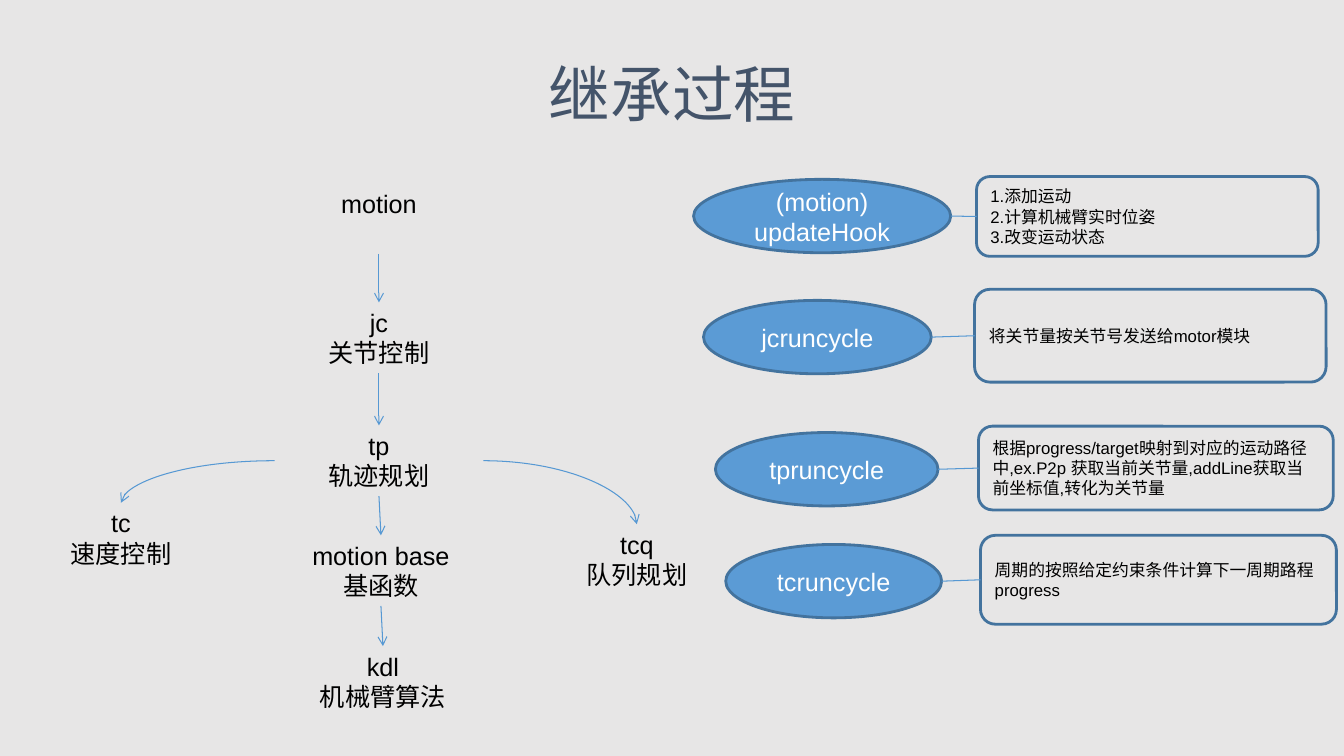
from pptx import Presentation
from pptx.dml.color import RGBColor
from pptx.enum import shapes, text
from pptx.oxml import ns, xmlchemy
from pptx.util import Cm, Pt

PAPER = RGBColor(0xE7, 0xE6, 0xE6)
SLATE = RGBColor(0x44, 0x54, 0x6A)
BLACK = RGBColor(0, 0, 0)
WHITE = RGBColor(0xFF, 0xFF, 0xFF)
BLUE = RGBColor(0x5B, 0x9B, 0xD5)
EDGE = RGBColor(0x43, 0x73, 0x9E)
ARROW = RGBColor(0x56, 0x98, 0xD3)

NODE_H = 1.78
OVAL_H = 1.85

# name: (centre, top, width, lines), in cm
NODES = {
    "motion": (9.55, 4.62, 5.16, ["motion"]),
    "jc": (9.55, 7.62, 4.32, ["jc", "关节控制"]),
    "tp": (9.55, 10.72, 5.26, ["tp", "轨迹规划"]),
    "base": (9.6, 13.49, 4.78, ["motion base", "基函数"]),
    "kdl": (9.65, 16.28, 5.61, ["kdl", "机械臂算法"]),
    "tc": (3.05, 12.67, 4.32, ["tc", "速度控制"]),
    "tcq": (16.05, 13.21, 4.83, ["tcq", "队列规划"]),
}
CHAIN = ["motion", "jc", "tp", "base", "kdl"]

# oval (left, top, width), its label, note (left, top, width, height), its lines
CYCLES = [
    ((17.48, 4.52, 6.48), "(motion) updateHook", (24.61, 4.45, 8.61, 2.01),
     ["1.添加运动", "2.计算机械臂实时位姿", "3.改变运动状态"]),
    ((17.73, 7.57, 5.74), "jcruncycle", (24.56, 7.29, 8.86, 2.34),
     ["将关节量按关节号发送给motor模块"]),
    ((18.03, 10.9, 5.61), "tpruncycle", (24.66, 10.74, 8.94, 2.11),
     ["根据progress/target映射到对应的运动路径中,ex.P2p 获取当前关节量,"
      "addLine获取当前坐标值,转化为关节量"]),
    ((18.29, 13.72, 5.44), "tcruncycle", (24.71, 13.49, 8.97, 2.24),
     ["周期的按照给定约束条件计算下一周期路程", "progress"]),
]


def write(shape, lines, size=18, color=BLACK, align=text.PP_ALIGN.CENTER,
          anchor=text.MSO_ANCHOR.MIDDLE):
    frame = shape.text_frame
    frame.word_wrap = True
    frame.vertical_anchor = anchor
    frame.text = "\n".join(lines)
    for para in frame.paragraphs:
        para.alignment = align
        font = para.runs[0].font
        font.name, font.size = "Arial", Pt(size)
        font.color.rgb = color


def label(slide, box, lines, **style):
    write(slide.shapes.add_textbox(*map(Cm, box)), lines, **style)


def panel(slide, kind, box, fill, lines, **style):
    shape = slide.shapes.add_shape(kind, *map(Cm, box))
    shape.shadow.inherit = False
    shape.fill.solid()
    shape.fill.fore_color.rgb = fill
    shape.line.color.rgb = EDGE
    shape.line.width = Pt(2)
    write(shape, lines, **style)


def link(slide, start, end, head=True, bend=False):
    kind = shapes.MSO_CONNECTOR.CURVE if bend else shapes.MSO_CONNECTOR.STRAIGHT
    line = slide.shapes.add_connector(kind, *map(Cm, start + end))
    line.line.color.rgb = ARROW
    line.line.width = Pt(0.75)
    props = line._element.spPr
    if bend:
        props.find(ns.qn("a:prstGeom")).set("prst", "curvedConnector2")
    if head:
        tip = xmlchemy.OxmlElement("a:tailEnd")
        tip.set("type", "arrow")
        props.find(ns.qn("a:ln")).append(tip)
    props.append(xmlchemy.OxmlElement("a:effectLst"))


def tree(slide):
    """Inheritance chain with its two side branches."""
    for mid, top, width, lines in NODES.values():
        label(slide, (mid - width / 2, top, width, NODE_H), lines,
              anchor=text.MSO_ANCHOR.TOP)
    for upper, lower in zip(CHAIN, CHAIN[1:]):
        mid, top = NODES[upper][:2]
        link(slide, (mid, top + NODE_H), NODES[lower][:2])
    mid, top, width, _ = NODES["tp"]
    for side, name in ((-1, "tc"), (1, "tcq")):
        link(slide, (mid + side * width / 2, top + NODE_H / 2),
             NODES[name][:2], bend=True)


def cycle(slide, oval, name, note, lines):
    """One function oval joined to the note that explains it."""
    left, top, width = oval
    panel(slide, shapes.MSO_SHAPE.OVAL, (*oval, OVAL_H), BLUE, [name], color=WHITE)
    panel(slide, shapes.MSO_SHAPE.ROUNDED_RECTANGLE, note, PAPER, lines,
          size=12, align=text.PP_ALIGN.LEFT)
    link(slide, (left + width, top + OVAL_H / 2),
         (note[0], note[1] + note[3] / 2), head=False)


def main():
    deck = Presentation()
    deck.slide_width, deck.slide_height = Cm(33.87), Cm(19.05)
    slide = deck.slides.add_slide(deck.slide_layouts[6])
    slide.background.fill.solid()
    slide.background.fill.fore_color.rgb = PAPER
    label(slide, (1.7, 0.76, 30.48, 3.18), ["继承过程"], size=44, color=SLATE)
    tree(slide)
    for row in CYCLES:
        cycle(slide, *row)
    deck.save("out.pptx")


if __name__ == "__main__":
    main()
